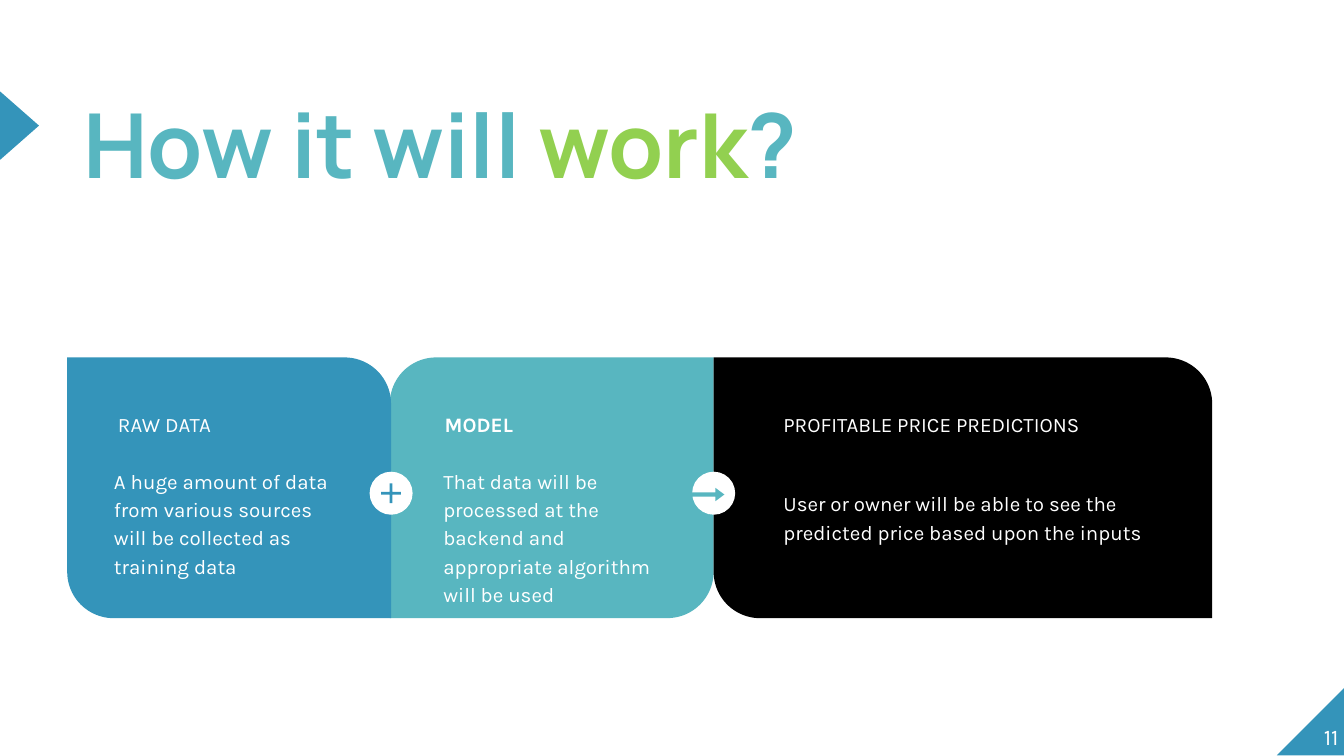
from pptx import Presentation
from pptx.dml.color import RGBColor
from pptx.enum.shapes import MSO_SHAPE as Shape
from pptx.enum.text import MSO_ANCHOR as Anchor, PP_ALIGN as Align
from pptx.util import Inches, Pt

COLORS = {
    "blue": "3494BA",
    "teal": "58B6C0",
    "green": "92D050",
    "black": "000000",
    "white": "FFFFFF",
}
PANEL_TOP, PANEL_HEIGHT = 2.66, 1.94
HEADING_TOP = 2.97
ROUNDING = 0.178
BADGE_SIZE = 0.32
BADGE_TOP = 3.51


def add_filled_shape(slide, kind, box, color, adjustments=(), rotation=0):
    shape = slide.shapes.add_shape(kind, *map(Inches, box))
    shape.shadow.inherit = False
    shape.fill.solid()
    shape.fill.fore_color.rgb = RGBColor.from_string(COLORS[color])
    shape.line.fill.background()
    shape.rotation = rotation
    for index, value in enumerate(adjustments):
        shape.adjustments[index] = value


def add_text(slide, box, runs, size=11, font="Karla", bold=False, inset=0.1,
             anchor=Anchor.TOP, align=Align.LEFT, line_spacing=None, space_after=0):
    """Add one paragraph made of (text, color) runs."""
    text_frame = slide.shapes.add_textbox(*map(Inches, box)).text_frame
    text_frame.word_wrap = True
    text_frame.vertical_anchor = anchor
    text_frame.margin_left = text_frame.margin_right = Inches(inset)
    text_frame.margin_top = text_frame.margin_bottom = Inches(inset)
    paragraph = text_frame.paragraphs[0]
    paragraph.alignment = align
    paragraph.space_after = Pt(space_after)
    if line_spacing:
        paragraph.line_spacing = line_spacing
    for text, color in runs:
        run = paragraph.add_run()
        run.text = text
        run.font.name = font
        run.font.size = Pt(size)
        run.font.bold = bold
        run.font.color.rgb = RGBColor.from_string(COLORS[color])


def add_panel(slide, left, width, color, corners, heading, heading_left,
              body, body_left, body_top, text_width, bold=False):
    add_filled_shape(slide, Shape.ROUND_2_DIAG_RECTANGLE,
                     (left, PANEL_TOP, width, PANEL_HEIGHT), color, corners)
    add_text(slide, (heading_left, HEADING_TOP, text_width, 0.57),
             [(heading, "white")], bold=bold)
    add_text(slide, (body_left, body_top, text_width, 0.63),
             [(body, "white")], line_spacing=1.15, space_after=16)


def add_badge(slide, left, kind, symbol_box, color, adjustments):
    """Add a white circle with a symbol on it."""
    add_filled_shape(slide, Shape.OVAL, (left, BADGE_TOP, BADGE_SIZE, BADGE_SIZE), "white")
    add_filled_shape(slide, kind, symbol_box, color, adjustments)


def add_page_decoration(slide):
    add_filled_shape(slide, Shape.RIGHT_TRIANGLE, (9.5, 5.11, 0.51, 0.51), "blue",
                     rotation=270)
    add_filled_shape(slide, Shape.ISOSCELES_TRIANGLE, (-0.11, 0.79, 0.51, 0.29), "blue",
                     rotation=90)
    add_text(slide, (9.46, 5.07, 0.5, 0.51), [("11", "white")], size=12, inset=0,
             anchor=Anchor.BOTTOM, align=Align.RIGHT)


def main():
    presentation = Presentation()
    presentation.slide_width = Inches(10)
    presentation.slide_height = Inches(10) * 9 // 16
    slide = presentation.slides.add_slide(presentation.slide_layouts[6])

    add_page_decoration(slide)
    add_panel(slide, 2.9, 2.41, "teal", (ROUNDING, 0), "MODEL", 3.21,
              "That data will be processed at the backend and "
              "appropriate algorithm will be used", 3.2, 3.36, 1.8, bold=True)
    add_panel(slide, 0.5, 2.41, "blue", (0, ROUNDING), "RAW DATA", 0.78,
              "A huge amount of data from various sources "
              "will be collected as training data", 0.75, 3.36, 1.8)
    add_panel(slide, 5.31, 3.71, "black", (0, ROUNDING),
              "PROFITABLE PRICE PREDICTIONS", 5.73,
              "User or owner will be able to see the predicted price "
              "based upon the inputs", 5.73, 3.53, 2.99)
    add_badge(slide, 5.15, Shape.RIGHT_ARROW, (5.15, 3.63, 0.24, 0.1), "teal", (0.32, 0.67))
    add_badge(slide, 2.75, Shape.MATH_PLUS, (2.81, 3.57, 0.2, 0.2), "blue", (0.1,))
    add_text(slide, (0.62, 0.82, 6.17, 1.18),
             [("How it will ", "teal"), ("work", "green"), ("?", "teal")],
             size=48, font="Manrope", bold=True, inset=0, line_spacing=0.8)

    presentation.save("out.pptx")


if __name__ == "__main__":
    main()
